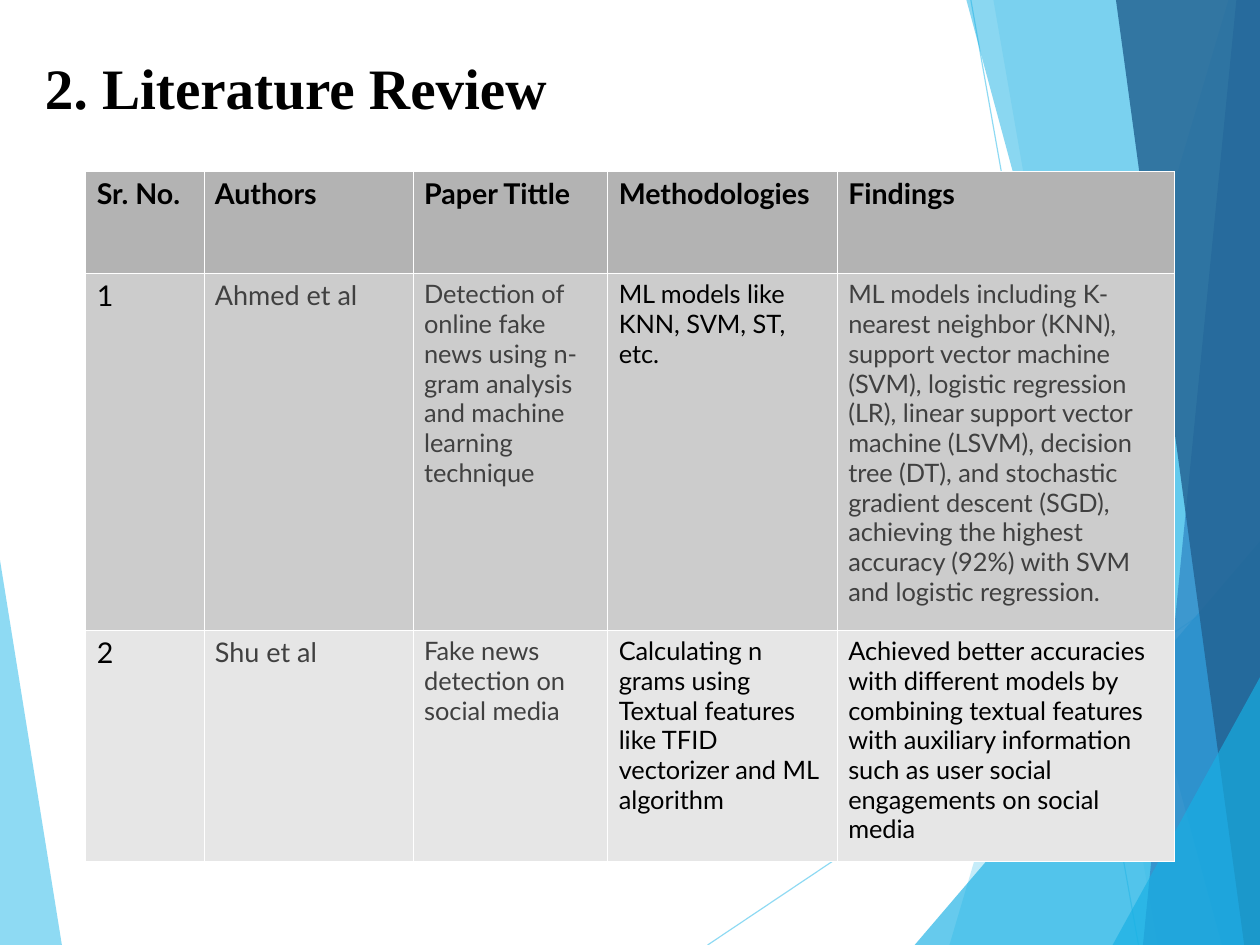
import pptx
import pptx.dml.color
import pptx.enum.shapes
import pptx.oxml
import pptx.oxml.ns
import pptx.util

PX = 9000  # EMU, a fortieth of a centimetre
WIDTH, HEIGHT = 1120, 840
BLACK, GREY, WHITE = "000000", "404040", "FFFFFF"
SKY, CYAN, BLUE, NAVY = "5FCBEF", "17B0E4", "2E83C3", "236292"

HEADER = ["Sr. No.", "Authors", "Paper Tittle", "Methodologies", "Findings"]
PAPERS = [
    ["1", "Ahmed et al",
     "Detection of online fake news using n-gram analysis and machine learning technique",
     "ML models like KNN, SVM, ST, etc.",
     "ML models including K-nearest neighbor (KNN), support vector machine (SVM), "
     "logistic regression (LR), linear support vector machine (LSVM), decision tree (DT), "
     "and stochastic gradient descent (SGD), achieving the highest accuracy (92%) "
     "with SVM and logistic regression."],
    ["2", "Shu et al", "Fake news detection on social media",
     "Calculating n grams using Textual features like TFID vectorizer and ML algorithm",
     "Achieved better accuracies with different models by combining textual features "
     "with auxiliary information such as user social engagements on social media"],
]
PAPER_SIZES = [18, 17, 16, 16, 16]
PAPER_COLORS = [[BLACK, GREY, GREY, BLACK, GREY], [BLACK, GREY, GREY, BLACK, BLACK]]
ROW_FILLS = ["B3B3B3", "CCCCCC", "E6E6E6"]
COLUMN_WIDTHS = [105, 186, 173, 204, 300]
ROW_HEIGHTS = [91, 317, 205]


def px(length):
    return pptx.util.Emu(length * PX)


def rgb(color):
    return pptx.dml.color.RGBColor.from_string(color)


def set_alpha(properties, percent):
    """Make the solid colour inside a shape's properties partly transparent."""
    color = next(properties.iter(pptx.oxml.ns.qn("a:srgbClr")))
    color.append(pptx.oxml.parse_xml(
        f'<a:alpha {pptx.oxml.ns.nsdecls("a")} val="{percent * 1000}"/>'))


def add_facet(slide, points, color, opacity):
    builder = slide.shapes.build_freeform(*points[0], scale=PX)
    builder.add_line_segments(points[1:], close=True)
    facet = builder.convert_to_shape()
    facet.shadow.inherit = False
    facet.fill.solid()
    facet.fill.fore_color.rgb = rgb(color)
    set_alpha(facet._element.spPr, opacity)
    facet.line.fill.background()


def add_ray(slide, start, end):
    ray = slide.shapes.add_connector(
        pptx.enum.shapes.MSO_CONNECTOR.STRAIGHT, *map(px, start + end))
    ray.line.color.rgb = rgb(SKY)
    ray.line.width = pptx.util.Pt(0.75)
    properties = ray._element.spPr
    set_alpha(properties, 70)
    properties.append(pptx.oxml.parse_xml(f'<a:effectLst {pptx.oxml.ns.nsdecls("a")}/>'))


def add_backdrop(slide, left, top, width, height):
    """Place the translucent facets and rays along the edges of the box."""
    right, bottom = left + width, top + height

    def add_band(upper, lower, color, opacity):
        """Fill from a slanted edge, given by its x at top and bottom, to the right."""
        add_facet(slide, [(left + upper, top), (left + lower, bottom),
                          (right, bottom), (right, top)], color, opacity)

    def add_corner(x, y):
        add_facet(slide, [(left + x, bottom), (right, top + y), (right, bottom)], CYAN, 66)

    add_facet(slide, [(left, top + 498), (left + 55, bottom), (left, bottom)], SKY, 70)
    add_ray(slide, (left + 629, bottom), (right, top + 511))
    add_ray(slide, (left + 863, top), (left + 1012, bottom))
    add_band(1092, 844, SKY, 36)
    add_band(883, 1029, SKY, 20)
    add_corner(813, 481)
    add_band(859, 1086, CYAN, 50)
    add_band(1099, 1016, BLUE, 70)
    add_band(992, 1106, NAVY, 82)
    add_corner(989, 602)


def write(frame, text, font, size, color, bold, spacing):
    frame.word_wrap = True
    frame.text = text
    paragraph = frame.paragraphs[0]
    paragraph.line_spacing = spacing
    style = paragraph.runs[0].font
    style.name, style.size, style.bold = font, pptx.util.Pt(size), bold
    style.color.rgb = rgb(color)


def add_title(slide, left, top, width, height):
    frame = slide.shapes.add_textbox(*map(px, (left, top, width, height))).text_frame
    frame.margin_left = frame.margin_right = frame.margin_bottom = 0
    frame.margin_top = px(7)
    write(frame, "2. Literature Review", "Times New Roman", 36, BLACK, True, 0.86)


def add_borders(cell):
    properties = cell._tc.get_or_add_tcPr()
    for index, side in enumerate(["lnL", "lnR", "lnT", "lnB"]):
        properties.insert(index, pptx.oxml.parse_xml(
            f'<a:{side} {pptx.oxml.ns.nsdecls("a")} w="{pptx.util.Pt(0.06)}">'
            f'<a:solidFill><a:srgbClr val="{WHITE}"/></a:solidFill></a:{side}>'))


def fill_cell(cell, text, size, color, fill, is_header):
    cell.margin_left = cell.margin_right = px(10)
    cell.margin_top, cell.margin_bottom = px(7 if is_header else 6), px(5)
    cell.fill.solid()
    cell.fill.fore_color.rgb = rgb(fill)
    add_borders(cell)
    write(cell.text_frame, text, "Lato", size, color, is_header, 0.93 if is_header else 0.98)


def add_review_table(slide, left, top):
    review = slide.shapes.add_table(
        len(ROW_HEIGHTS), len(COLUMN_WIDTHS), px(left), px(top),
        px(sum(COLUMN_WIDTHS)), px(sum(ROW_HEIGHTS))).table
    review.horz_banding = False
    for column, width in zip(review.columns, COLUMN_WIDTHS):
        column.width = px(width)
    for row, height in zip(review.rows, ROW_HEIGHTS):
        row.height = px(height)
    sizes = [[18] * len(HEADER)] + [PAPER_SIZES] * len(PAPERS)
    colors = [[BLACK] * len(HEADER)] + PAPER_COLORS
    for r, texts in enumerate([HEADER] + PAPERS):
        for c, text in enumerate(texts):
            fill_cell(review.cell(r, c), text, sizes[r][c], colors[r][c], ROW_FILLS[r], r == 0)


def main():
    deck = pptx.Presentation()
    deck.slide_width, deck.slide_height = px(WIDTH), px(HEIGHT)
    slide = deck.slides.add_slide(deck.slide_layouts[6])
    add_backdrop(slide, 0, 0, WIDTH, HEIGHT)
    add_title(slide, 40, 48, 480, 105)
    add_review_table(slide, 76, 152)
    deck.save("out.pptx")


if __name__ == "__main__":
    main()
